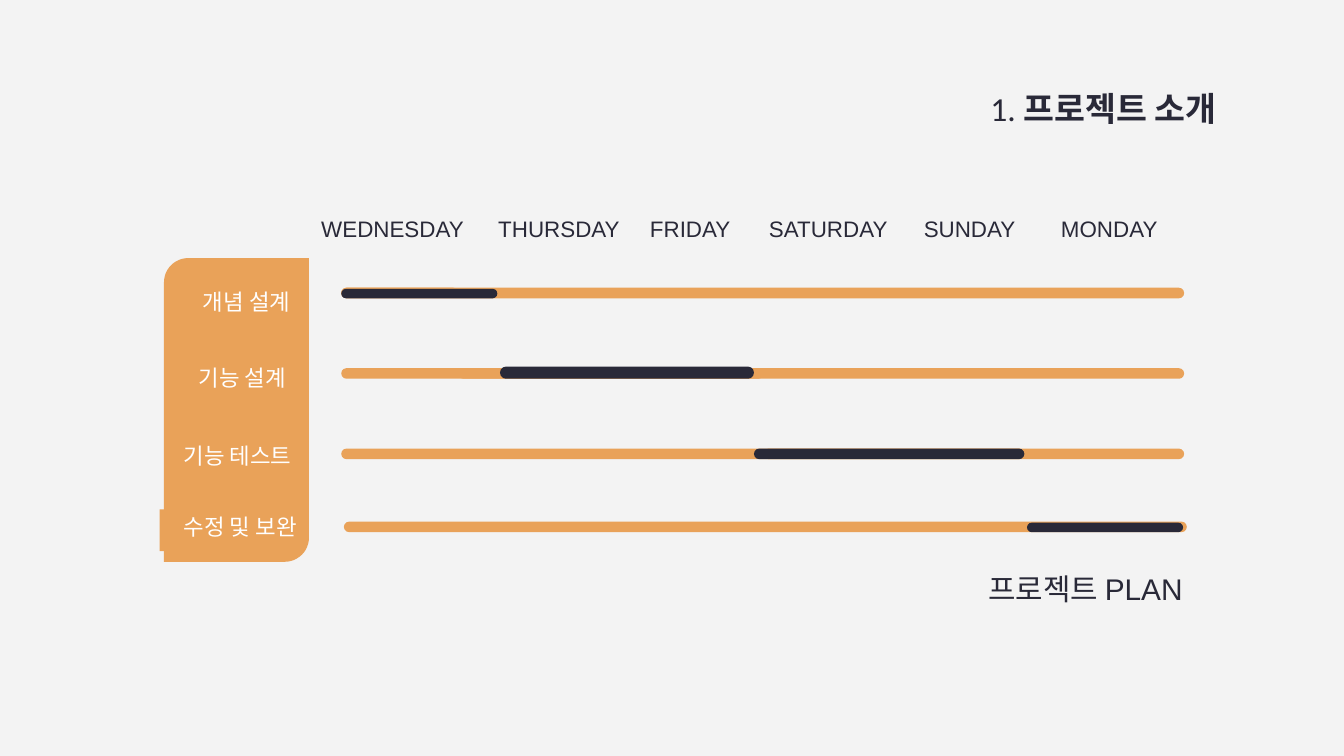
from pptx import Presentation
from pptx.dml.color import RGBColor
from pptx.enum.shapes import MSO_SHAPE
from pptx.enum.text import MSO_ANCHOR, PP_ALIGN
from pptx.util import Cm, Pt

ROUND = MSO_SHAPE.ROUNDED_RECTANGLE
PANEL = MSO_SHAPE.ROUND_2_DIAG_RECTANGLE
RECT = MSO_SHAPE.RECTANGLE
TOP, MIDDLE = MSO_ANCHOR.TOP, MSO_ANCHOR.MIDDLE
RIGHT, CENTER = PP_ALIGN.RIGHT, PP_ALIGN.CENTER

COLORS = {"back": "F3F3F3", "dark": "292938", "gold": "E9A259", "white": "FFFFFF"}

TITLE = [("1. ", "Calibri", False), ("프로젝트 소개", "Arial", True)]
PLAN = "프로젝트 PLAN"
DAYS = [
    ("WEDNESDAY", 6.05, 2.74),
    ("THURSDAY", 9.09, 2.95),
    ("FRIDAY", 11.76, 2.57),
    ("SATURDAY", 14.5, 2.31),
    ("SUNDAY", 17.17, 2.31),
    ("MONDAY", 19.81, 2.31),
]
TASKS = [
    ("개념 설계", (3.43, 5.44, 2.06, 0.84), 1.0),
    ("기능 설계", (3.48, 6.81, 1.93, 0.84), 1.15),
    ("기능 테스트", (3.2, 8.28, 2.31, 0.84), 1.15),
    ("수정 및 보완", (3.02, 9.63, 2.59, 0.79), 1.15),
]
TRACKS = [(6.45, 5.44), (6.45, 6.96), (6.45, 8.48), (6.5, 9.86)]
BARS = [
    ("gold", (6.45, 5.44, 2.21, 0.18)),
    ("gold", (14.43, 8.48, 4.93, 0.2)),
    ("gold", (8.66, 6.96, 5.77, 0.2)),
    ("dark", (6.45, 5.46, 2.95, 0.18)),
    ("dark", (9.45, 6.93, 4.8, 0.23)),
    ("dark", (14.25, 8.48, 5.11, 0.2)),
    ("dark", (19.41, 9.88, 2.95, 0.18)),
]


def color(name):
    return RGBColor.from_string(COLORS[name])


def add_shape(slide, kind, box, fill):
    shape = slide.shapes.add_shape(kind, *map(Cm, box))
    shape.shadow.inherit = False
    shape.fill.solid()
    shape.fill.fore_color.rgb = color(fill)
    shape.line.fill.background()
    return shape


def set_frame(shape, pads, anchor):
    frame = shape.text_frame
    frame.word_wrap = True
    frame.vertical_anchor = anchor
    frame.margin_left, frame.margin_top, frame.margin_right, frame.margin_bottom = map(Cm, pads)
    return frame.paragraphs[0]


def style(para, align, size, tint):
    para.alignment = align
    para.font.size = Pt(size)
    para.font.color.rgb = color(tint)


def write(shape, text, align, size, tint, pads=(0, 0, 0, 0), anchor=TOP):
    para = set_frame(shape, pads, anchor)
    para.text = text
    para.font.name = "Arial"
    style(para, align, size, tint)
    return para


def add_title(slide):
    title = slide.shapes.title
    title.left, title.top, title.width, title.height = map(Cm, (14.25, 1.42, 8.99, 1.55))
    para = set_frame(title, (0.25, 0.25, 0.25, 0.25), TOP)
    style(para, RIGHT, 18, "dark")
    for text, font, bold in TITLE:
        run = para.add_run()
        run.text = text
        run.font.name = font
        run.font.bold = bold


def add_labels(slide):
    panel = add_shape(slide, PANEL, (3.1, 4.88, 2.74, 5.74), "gold")
    panel.adjustments[0] = 0.167
    for day, left, width in DAYS:
        label = add_shape(slide, RECT, (left, 4.06, width, 0.74), "back")
        write(label, day, CENTER, 12, "dark").space_after = Pt(16)
    for task, box, space in TASKS:
        label = add_shape(slide, RECT, box, "gold")
        para = write(label, task, RIGHT, 12, "white")
        para.line_spacing = space
        para.space_after = Pt(16)


def add_bars(slide):
    tracks = [("gold", (left, top, 15.93, 0.2)) for left, top in TRACKS]
    for fill, box in tracks + BARS:
        add_shape(slide, ROUND, box, fill).adjustments[0] = 0.5


def main():
    deck = Presentation()
    deck.slide_width, deck.slide_height = Cm(25.4), Cm(14.29)
    slide = deck.slides.add_slide(deck.slide_layouts[5])
    slide.background.fill.solid()
    slide.background.fill.fore_color.rgb = color("back")
    add_title(slide)
    add_labels(slide)
    add_bars(slide)
    plan = slide.shapes.add_textbox(*map(Cm, (14.4, 10.82, 8.99, 0.61)))
    write(plan, PLAN, RIGHT, 16, "dark", (0.25, 0.25, 1.04, 0.25), MIDDLE)
    deck.save("out.pptx")


if __name__ == "__main__":
    main()
